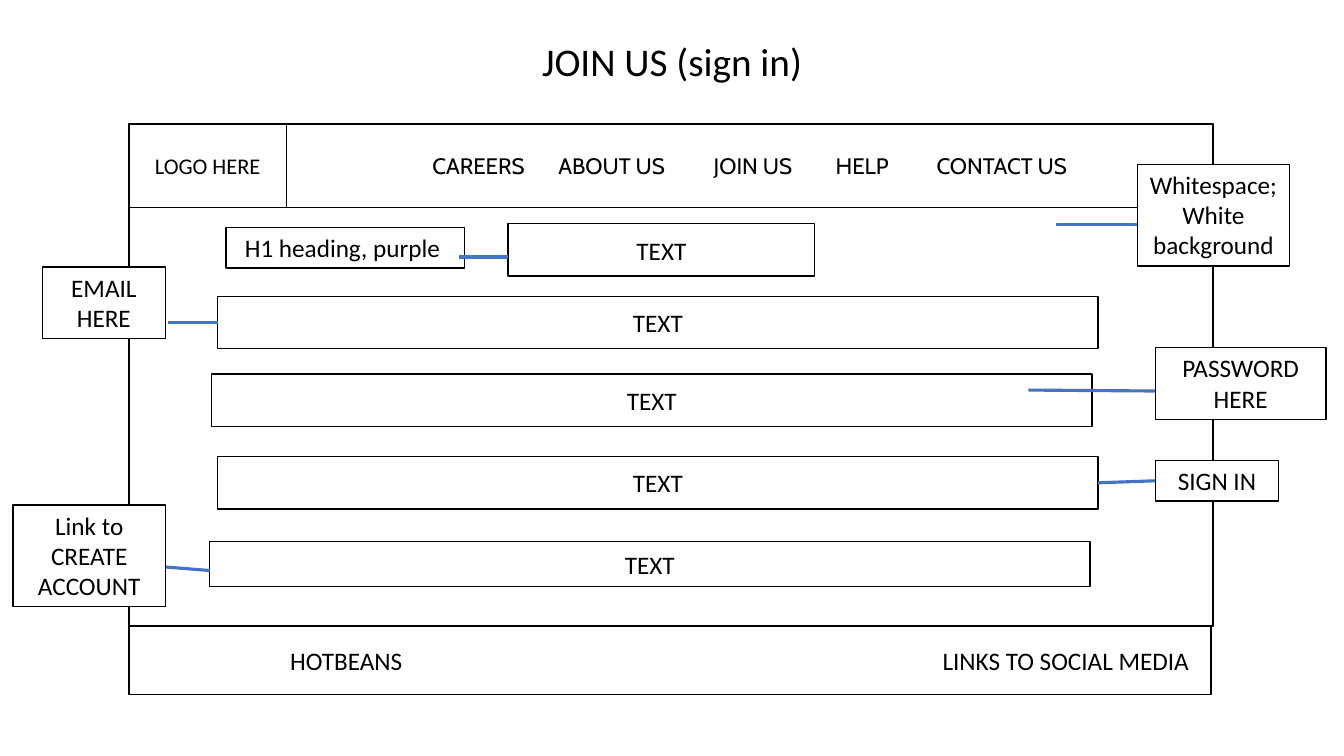
from dataclasses import dataclass

import pptx
import pptx.dml.color
import pptx.enum.shapes
import pptx.enum.text
import pptx.oxml
import pptx.oxml.ns
import pptx.shapes.autoshape
import pptx.slide
import pptx.util

BLACK = pptx.dml.color.RGBColor(0x00, 0x00, 0x00)
WHITE = pptx.dml.color.RGBColor(0xFF, 0xFF, 0xFF)
BLUE = pptx.dml.color.RGBColor(0x44, 0x72, 0xC4)
Inches = pptx.util.Inches
ANCHOR = pptx.enum.text.MSO_ANCHOR
ALIGN = pptx.enum.text.PP_ALIGN


@dataclass(frozen=True)
class Box:
    left: float
    top: float
    width: float
    height: float
    text: str = ""
    size: int = 18
    font: str = "Calibri"
    filled: bool = False
    outlined: bool = True
    tabs: tuple[float, ...] = ()  # tab stops, from the left inset


@dataclass(frozen=True)
class Pointer:
    start_x: float
    start_y: float
    end_x: float
    end_y: float


@dataclass(frozen=True)
class Callout:
    left: float
    top: float
    width: float
    height: float
    text: str


TITLE = Box(0, 0.21, 13.33, 0.78, "JOIN US (sign in)", 28, filled=True, outlined=False)

PAGE_PARTS = [
    Box(1.28, 1.23, 10.75, 4.98),
    Box(1.28, 1.23, 1.56, 0.83, "LOGO HERE", 16),
    Box(2.84, 1.23, 9.19, 0.83, "\tCAREERS\tABOUT US\tJOIN US\tHELP\tCONTACT US",
        16, "Cabin", tabs=(1.35, 2.6, 4.14, 5.35, 6.35)),
    Box(1.28, 6.21, 10.73, 0.68, "\tHOTBEANS\tLINKS TO SOCIAL MEDIA", tabs=(1.5, 7.97)),
]

FIELDS = [
    Box(5.04, 2.22, 3.04, 0.52, "TEXT"),
    Box(2.16, 2.94, 8.73, 0.52, "TEXT"),
    Box(2.1, 3.71, 8.73, 0.52, "TEXT"),
    Box(2.16, 4.53, 8.73, 0.52, "TEXT"),
    Box(2.08, 5.37, 8.73, 0.45, "TEXT"),
]

POINTERS = [
    Pointer(11.57, 3.88, 10.2, 3.87),
    Pointer(11.46, 4.77, 10.89, 4.79),
    Pointer(2.16, 3.2, 1.67, 3.2),
    Pointer(2.08, 5.66, 1.08, 5.58),
    Pointer(11.37, 2.23, 10.47, 2.23),
]
HEADING_POINTER = Pointer(5.04, 2.55, 4.55, 2.55)

CALLOUTS = [
    Callout(11.46, 3.45, 1.69, 0.71, "PASSWORD HERE"),
    Callout(11.46, 4.57, 1.22, 0.4, "SIGN IN"),
    Callout(0.42, 2.65, 1.22, 0.71, "EMAIL HERE"),
    Callout(11.28, 1.63, 1.51, 1.01, "Whitespace;\nWhite background"),
    Callout(0.13, 5.01, 1.51, 1.01, "Link to CREATE ACCOUNT"),
    Callout(2.24, 2.26, 2.37, 0.4, "H1 heading, purple "),
]


def add_box(slide: pptx.slide.Slide, box: Box) -> pptx.shapes.autoshape.Shape:
    shape = slide.shapes.add_shape(
        pptx.enum.shapes.MSO_SHAPE.RECTANGLE,
        Inches(box.left), Inches(box.top), Inches(box.width), Inches(box.height))
    shape.shadow.inherit = False
    if box.filled:
        shape.fill.solid()
        shape.fill.fore_color.rgb = WHITE
    else:
        shape.fill.background()
    if box.outlined:
        shape.line.color.rgb = BLACK
        shape.line.width = pptx.util.Pt(1)
    else:
        shape.line.fill.background()
    if box.text:
        frame = shape.text_frame
        frame.word_wrap = True
        frame.vertical_anchor = ANCHOR.MIDDLE
        frame.text = box.text
        for paragraph in frame.paragraphs:
            paragraph.alignment = ALIGN.LEFT if box.tabs else ALIGN.CENTER
            if box.tabs:
                add_tab_stops(paragraph, box.tabs)
            paragraph.font.name = box.font
            paragraph.font.size = pptx.util.Pt(box.size)
            paragraph.font.color.rgb = BLACK
    return shape


def add_tab_stops(paragraph, stops: tuple[float, ...]) -> None:
    properties = paragraph._p.get_or_add_pPr()
    tab_list = pptx.oxml.parse_xml(f"<a:tabLst {pptx.oxml.ns.nsdecls('a')}/>")
    for stop in stops:
        tab = tab_list.makeelement(pptx.oxml.ns.qn("a:tab"),
                                   {"pos": str(Inches(stop)), "algn": "l"})
        tab_list.append(tab)
    properties.append(tab_list)


def add_pointer(slide: pptx.slide.Slide, pointer: Pointer) -> None:
    connector = slide.shapes.add_connector(
        pptx.enum.shapes.MSO_CONNECTOR.STRAIGHT,
        Inches(pointer.start_x), Inches(pointer.start_y),
        Inches(pointer.end_x), Inches(pointer.end_y))
    connector.line.color.rgb = BLUE
    connector.line.width = pptx.util.Pt(2.25)
    properties = connector._element.spPr
    properties.append(properties.makeelement(pptx.oxml.ns.qn("a:effectLst"), {}))


def add_callout(slide: pptx.slide.Slide, callout: Callout) -> None:
    shape = add_box(slide, Box(callout.left, callout.top, callout.width,
                               callout.height, callout.text, filled=True))
    shape.text_frame.vertical_anchor = ANCHOR.TOP
    shape.text_frame.auto_size = pptx.enum.text.MSO_AUTO_SIZE.SHAPE_TO_FIT_TEXT


def main() -> None:
    presentation = pptx.Presentation()
    presentation.slide_width = Inches(13.33)
    presentation.slide_height = Inches(7.5)
    slide = presentation.slides.add_slide(presentation.slide_layouts[6])

    # Title, page frame and form fields
    for box in [TITLE, *PAGE_PARTS, *FIELDS]:
        add_box(slide, box)

    # Notes, which cover the ends of their pointers
    for pointer in POINTERS:
        add_pointer(slide, pointer)
    for callout in CALLOUTS:
        add_callout(slide, callout)

    # The heading pointer lies over its note
    add_pointer(slide, HEADING_POINTER)

    presentation.save("out.pptx")


if __name__ == "__main__":
    main()
